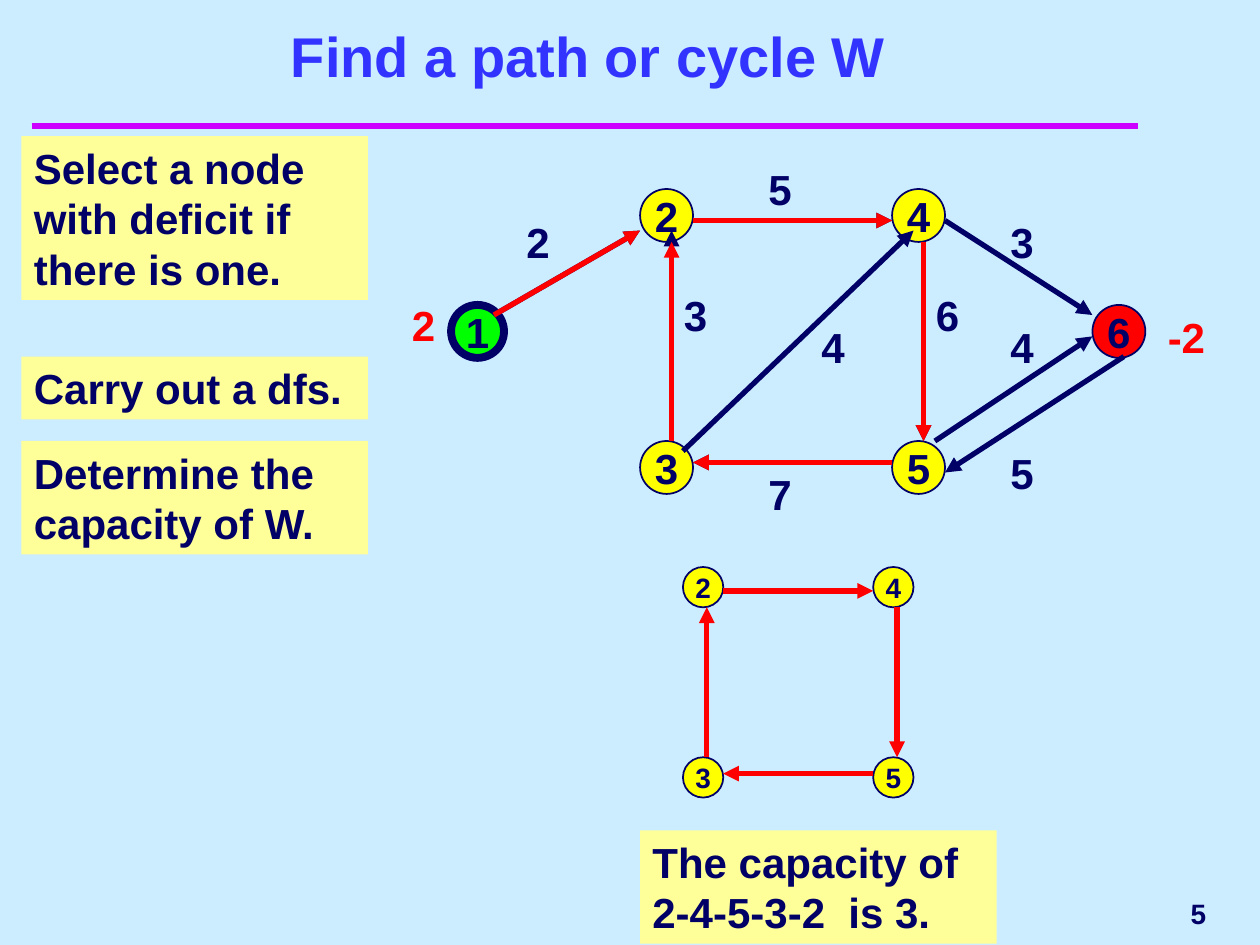
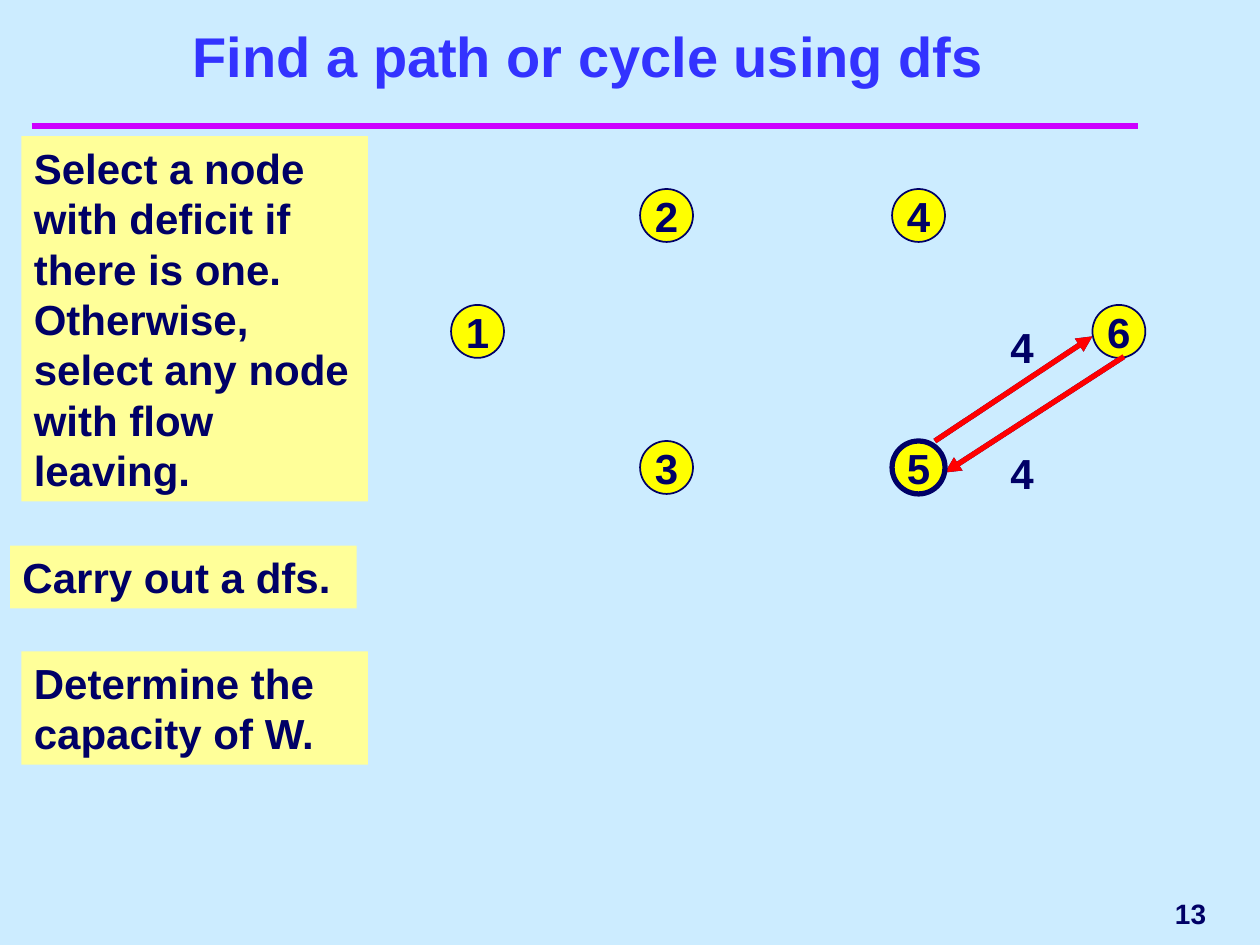
from lxml.etree import SubElement
from pptx import Presentation
from pptx.dml.color import RGBColor
from pptx.enum.shapes import MSO_CONNECTOR, MSO_SHAPE
from pptx.enum.text import MSO_ANCHOR, MSO_AUTO_SIZE, PP_ALIGN
from pptx.oxml.ns import qn
from pptx.util import Inches, Pt

FONT = "Arial"
SKY = RGBColor(0xCC, 0xEC, 0xFF)
NAVY = RGBColor(0x00, 0x00, 0x66)
BLUE = RGBColor(0x33, 0x33, 0xFF)
PURPLE = RGBColor(0xCC, 0x00, 0xFF)
YELLOW = RGBColor(0xFF, 0xFF, 0x00)
CREAM = RGBColor(0xFF, 0xFF, 0x99)
GREEN = RGBColor(0x00, 0xFF, 0x00)
RED = RGBColor(0xFF, 0x00, 0x00)

NODE_SIZE = 0.42
NODES = {
    "1": (3.58, 2.42), "2": (5.08, 1.5), "3": (5.08, 3.5),
    "4": (7.08, 1.5), "5": (7.08, 3.5), "6": (8.67, 2.42),
}

# Each arc, named by its two nodes: start, end
ARCS = {
    "12": ((3.92, 2.5), (5.08, 1.83)),
    "32": ((5.33, 3.5), (5.33, 1.83)),
    "53": ((7.08, 3.67), (5.5, 3.67)),
    "34": ((5.42, 3.58), (7.25, 1.83)),
    "24": ((5.5, 1.75), (7.08, 1.75)),
    "45": ((7.33, 1.92), (7.33, 3.5)),
    "56": ((7.42, 3.5), (8.67, 2.67)),
    "65": ((8.92, 2.83), (7.5, 3.75)),
    "46": ((7.5, 1.75), (8.67, 2.5)),
}
ARC_LABELS = {
    "12": (4.08, 1.67), "32": (5.33, 2.25), "53": (6, 3.67),
    "34": (6.42, 2.5), "24": (6, 1.25), "45": (7.33, 2.25),
    "56": (7.92, 2.5), "65": (7.92, 3.5), "46": (7.92, 1.67),
}

CYCLE_LEFT, CYCLE_TOP = 5.42, 4.5
CYCLE_STEP = 1.51
CYCLE_NODE_SIZE = 0.32


def write_text(shape, text, size=24, color=NAVY, align=PP_ALIGN.LEFT,
               anchor=MSO_ANCHOR.TOP, wrap=True, grow=False):
    frame = shape.text_frame
    frame.word_wrap = wrap
    frame.vertical_anchor = anchor
    frame.auto_size = MSO_AUTO_SIZE.SHAPE_TO_FIT_TEXT if grow else MSO_AUTO_SIZE.NONE
    paragraph = frame.paragraphs[0]
    paragraph.alignment = align
    run = paragraph.add_run()
    run.text = text
    run.font.name = FONT
    run.font.size = Pt(size)
    run.font.bold = True
    run.font.color.rgb = color


def add_text(shapes, text, left, top, width, height, **text_format):
    box = shapes.add_textbox(Inches(left), Inches(top), Inches(width), Inches(height))
    write_text(box, text, **text_format)
    return box


def add_note(shapes, text, left, top, width, height):
    box = add_text(shapes, text, left, top, width, height, grow=True)
    box.fill.solid()
    box.fill.fore_color.rgb = CREAM


def add_label(shapes, text, position, color=NAVY):
    add_text(shapes, text, *position, 0.67, 0.5, color=color, grow=True)


def add_node(shapes, name, position, size=NODE_SIZE, fill=YELLOW, border=1, text_size=24):
    left, top = position
    node = shapes.add_shape(MSO_SHAPE.OVAL, Inches(left), Inches(top),
                            Inches(size), Inches(size))
    node.shadow.inherit = False
    node.fill.solid()
    node.fill.fore_color.rgb = fill
    node.line.color.rgb = NAVY
    node.line.width = Pt(border)
    write_text(node, name, size=text_size, align=PP_ALIGN.CENTER,
               anchor=MSO_ANCHOR.MIDDLE, wrap=False)


def add_line(shapes, start, end, color, width=3, arrow=True):
    points = [Inches(value) for value in (*start, *end)]
    line = shapes.add_connector(MSO_CONNECTOR.STRAIGHT, *points)
    line.line.color.rgb = color
    line.line.width = Pt(width)
    if arrow:
        SubElement(line.line._get_or_add_ln(), qn("a:tailEnd"), type="triangle")
    SubElement(line._element.spPr, qn("a:effectLst"))


def add_arcs(shapes, arcs, color):
    for arc in arcs:
        add_line(shapes, *ARCS[arc], color)


def add_capacities(shapes, capacities):
    """Draw the arcs in navy, each with its number."""
    add_arcs(shapes, capacities, NAVY)
    for arc, capacity in capacities.items():
        add_label(shapes, capacity, ARC_LABELS[arc])


def add_cycle(slide):
    """Draw the small square 2-4-5-3-2 as one group."""
    shapes = slide.shapes.add_group_shape().shapes
    right, bottom = CYCLE_LEFT + CYCLE_STEP, CYCLE_TOP + CYCLE_STEP
    corners = {"2": (CYCLE_LEFT, CYCLE_TOP), "4": (right, CYCLE_TOP),
               "5": (right, bottom), "3": (CYCLE_LEFT, bottom)}
    for name, corner in corners.items():
        add_node(shapes, name, corner, size=CYCLE_NODE_SIZE, text_size=16)

    near_x, far_x = CYCLE_LEFT + 0.19, right + 0.19
    top_y, bottom_y = CYCLE_TOP + 0.19, bottom + 0.13
    inner_left, inner_top = CYCLE_LEFT + CYCLE_NODE_SIZE, CYCLE_TOP + CYCLE_NODE_SIZE
    for start, end in (
        ((inner_left, top_y), (right, top_y)),
        ((far_x, inner_top), (far_x, bottom)),
        ((right, bottom_y), (inner_left, bottom_y)),
        ((near_x, bottom), (near_x, inner_top)),
    ):
        add_line(shapes, start, end, RED)


def add_slide(presentation, title, number):
    """Add a blank slide with the title, the rule below it and the page number."""
    slide = presentation.slides.add_slide(presentation.slide_layouts[6])
    add_line(slide.shapes, (0.25, 1), (9.03, 1), PURPLE, width=4, arrow=False)
    add_text(slide.shapes, number, 7.75, 7, 1.92, 0.5, size=16,
             align=PP_ALIGN.RIGHT, anchor=MSO_ANCHOR.MIDDLE, wrap=False)
    add_text(slide.shapes, title, 0.42, 0.33, 8.5, 0.42, size=32, color=BLUE,
             align=PP_ALIGN.CENTER, anchor=MSO_ANCHOR.BOTTOM)
    return slide


def build_path_slide(presentation):
    slide = add_slide(presentation, "Find a path or cycle W", "5")
    shapes = slide.shapes
    for name in "24536":
        add_node(shapes, name, NODES[name], fill=RED if name == "6" else YELLOW)
    add_capacities(shapes, {"12": "2", "32": "3", "53": "7", "34": "4", "24": "5",
                            "45": "6", "56": "4", "65": "5", "46": "3"})
    add_label(shapes, "2", (3.17, 2.33), RED)
    add_label(shapes, "-2", (9.17, 2.42), RED)
    add_node(shapes, "1", NODES["1"], fill=GREEN, border=4.5)
    add_arcs(shapes, ("12", "24", "45", "53"), RED)
    add_line(shapes, (5.33, 3.5), (5.33, 1.92), RED)
    add_note(shapes, "Select a node with deficit if there is one.", 0.17, 1.08, 2.75, 1.3)
    add_note(shapes, "Carry out a dfs.", 0.17, 2.83, 2.75, 0.5)
    add_note(shapes, "Determine the capacity of W.", 0.17, 3.5, 2.75, 0.9)
    add_cycle(slide)
    add_note(shapes, "The capacity of 2-4-5-3-2  is 3.", 5.08, 6.59, 2.83, 0.9)


def build_dfs_slide(presentation):
    slide = add_slide(presentation, "Find a path or cycle using dfs", "13")
    shapes = slide.shapes
    flows = {"56": "4", "65": "4"}
    add_capacities(shapes, flows)
    for name in "32416":
        add_node(shapes, name, NODES[name])
    add_note(shapes, "Select a node with deficit if there is one. Otherwise, "
             "select any node with flow leaving.", 0.17, 1.08, 2.75, 2.9)
    add_note(shapes, "Carry out a dfs.", 0.08, 4.33, 2.75, 0.5)
    add_note(shapes, "Determine the capacity of W.", 0.17, 5.17, 2.75, 0.9)
    add_arcs(shapes, flows, RED)
    add_node(shapes, "5", NODES["5"], border=3)


def main():
    presentation = Presentation()
    presentation.slide_width = Inches(10)
    presentation.slide_height = Inches(7.5)
    background = presentation.slide_master.background.fill
    background.solid()
    background.fore_color.rgb = SKY
    build_path_slide(presentation)
    build_dfs_slide(presentation)
    presentation.save("out.pptx")


if __name__ == "__main__":
    main()
